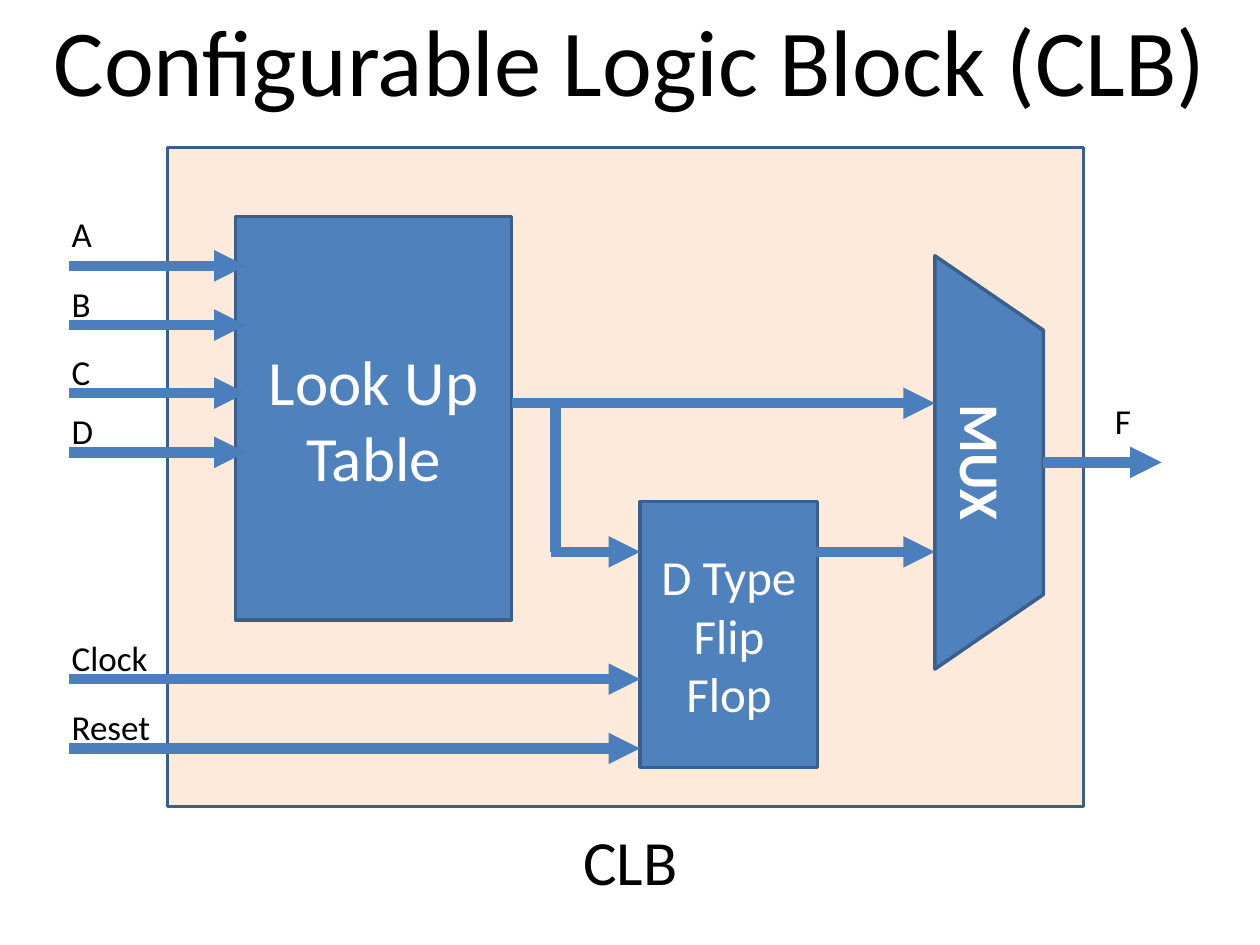
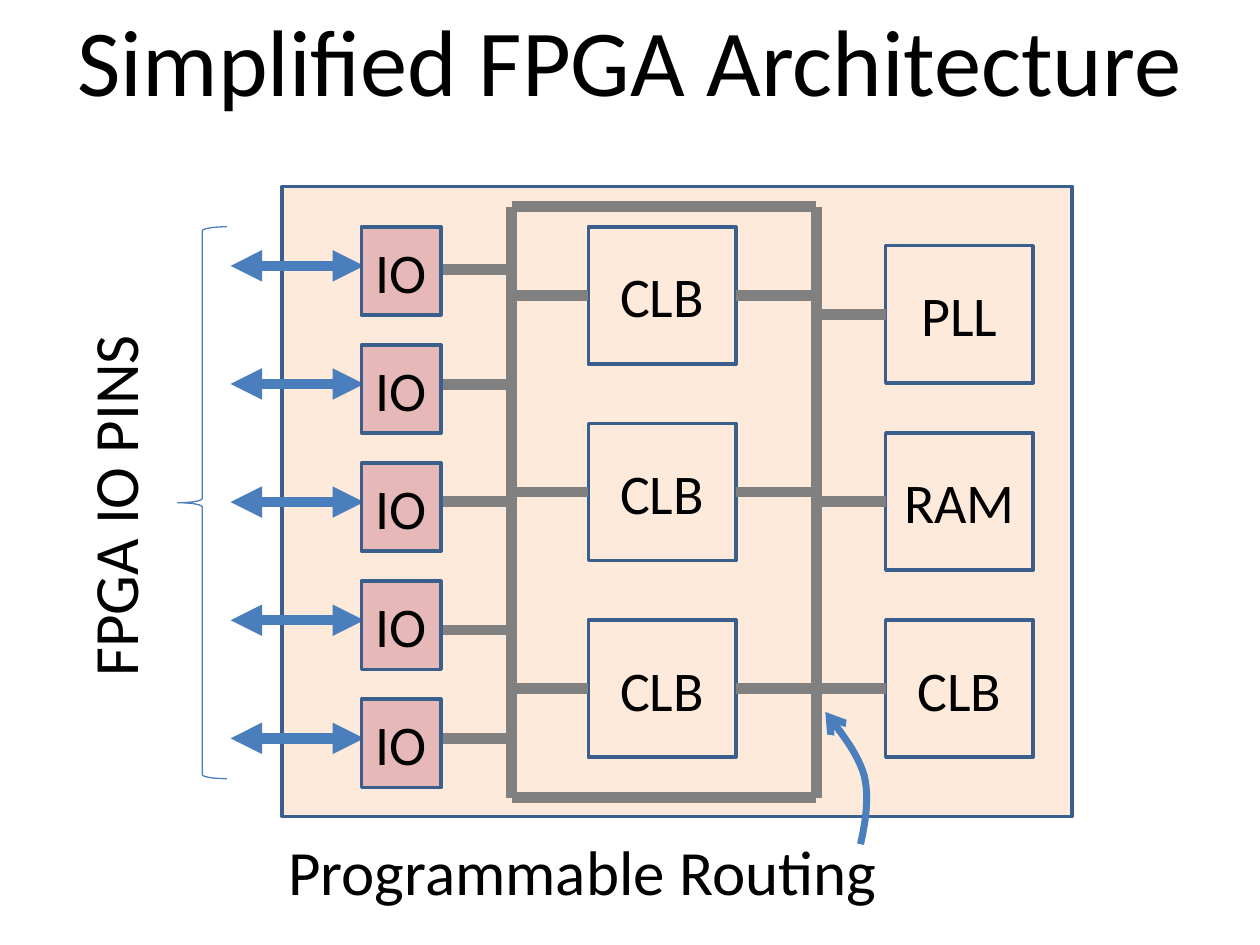
from lxml.etree import SubElement
from pptx import Presentation
from pptx.dml.color import RGBColor
from pptx.enum.shapes import MSO_CONNECTOR, MSO_SHAPE
from pptx.enum.text import MSO_ANCHOR, PP_ALIGN
from pptx.oxml.ns import qn
from pptx.util import Inches, Pt

COLORS = {
    "panel": "FDEADA",
    "block": "4F81BD",
    "pin": "E6B9B8",
    "border": "3A5F8C",
    "signal": "4B7EBC",
    "routing": "808080",
    "dark": "000000",
    "light": "FFFFFF",
}
FONT = "Calibri"
TOP, LEFT, BOTTOM, RIGHT = range(4)


def rgb(name):
    return RGBColor.from_string(COLORS[name])


def write_text(shape, text, size=32, color="dark", bold=False,
               align=PP_ALIGN.CENTER, anchor=MSO_ANCHOR.MIDDLE):
    frame = shape.text_frame
    frame.word_wrap = True
    frame.vertical_anchor = anchor
    frame.text = text
    for para in frame.paragraphs:
        para.alignment = align
        for span in para.runs:
            span.font.name = FONT
            span.font.size = Pt(size)
            span.font.bold = bold
            span.font.color.rgb = rgb(color)


def add_label(page, text, left, top, width, height=0.44, size=20, rotation=0, **style):
    box = page.shapes.add_textbox(Inches(left), Inches(top), Inches(width), Inches(height))
    box.rotation = rotation
    options = {"align": PP_ALIGN.LEFT, "anchor": MSO_ANCHOR.TOP, **style}
    write_text(box, text, size=size, **options)


def add_block(page, left, top, width, height, text="", kind=MSO_SHAPE.RECTANGLE,
              fill="panel", border="border", weight=2, **style):
    block = page.shapes.add_shape(
        kind, Inches(left), Inches(top), Inches(width), Inches(height))
    block.shadow.inherit = False
    if fill:
        block.fill.solid()
        block.fill.fore_color.rgb = rgb(fill)
    else:
        block.fill.background()
    block.line.color.rgb = rgb(border)
    block.line.width = Pt(weight)
    if text:
        write_text(block, text, **style)
    return block


def style_line(line, color, weight, head=None, tail=None):
    line.color.rgb = rgb(color)
    line.width = Pt(weight)
    for tag, arrow in (("a:headEnd", head), ("a:tailEnd", tail)):
        if arrow:
            SubElement(line._get_or_add_ln(), qn(tag), type=arrow)


def add_wire(page, start, end, color="signal", head=None, tail=None):
    wire = page.shapes.add_connector(
        MSO_CONNECTOR.STRAIGHT, *(Inches(value) for value in (*start, *end)))
    style_line(wire.line, color, 6, head, tail)
    SubElement(wire._element.spPr, qn("a:effectLst"))
    return wire


def add_arrow(page, left, right, y, **ends):
    add_wire(page, (left, y), (right, y), tail="triangle", **ends)


def add_routing(page, start, end):
    return add_wire(page, start, end, color="routing")


def curve_points(start, control_1, control_2, end, steps=12):
    for step in range(1, steps + 1):
        t = step / steps
        weights = ((1 - t) ** 3, 3 * t * (1 - t) ** 2, 3 * t * t * (1 - t), t ** 3)
        knots = (start, control_1, control_2, end)
        yield tuple(Inches(sum(w * knot[axis] for w, knot in zip(weights, knots)))
                    for axis in (0, 1))


def add_curved_arrow(page, start, *segments):
    builder = page.shapes.build_freeform(*(Inches(value) for value in start))
    for segment in segments:
        builder.add_line_segments(list(curve_points(start, *segment)), close=False)
        start = segment[-1]
    curve = builder.convert_to_shape()
    curve.shadow.inherit = False
    curve.fill.background()
    style_line(curve.line, "signal", 4, tail="arrow")


def add_page(deck, title):
    page = deck.slides.add_slide(deck.slide_layouts[6])
    add_label(page, title, 0, -0.16, 10, 1.25, size=54,
              align=PP_ALIGN.CENTER, anchor=MSO_ANCHOR.MIDDLE)
    return page


def build_logic_block(deck):
    page = add_page(deck, "Configurable Logic Block (CLB)")
    add_block(page, 1.33, 1.17, 7.27, 5.23)
    add_block(page, 1.87, 1.72, 2.19, 3.2, "Look Up Table",
              fill="block", size=36, color="light")
    add_block(page, 5.08, 3.98, 1.41, 2.11, "D Type\nFlip Flop",
              fill="block", size=28, color="light")
    mux = add_block(page, 6.21, 3.24, 3.28, 0.86, "MUX", kind=MSO_SHAPE.TRAPEZOID,
                    fill="block", color="light", bold=True)
    mux.adjustments[0] = 0.687
    mux.rotation = 90

    inputs = [
        ("A", 1.64, 2.11, 1.95),
        ("B", 2.19, 2.58, 1.95),
        ("C", 2.73, 3.12, 1.95),
        ("D", 3.2, 3.59, 1.95),
        ("Clock", 5, 5.39, 5.08),
        ("Reset", 5.55, 5.94, 5.08),
    ]
    for name, label_top, wire_y, wire_end in inputs:
        add_arrow(page, 0.55, wire_end, wire_y)
        add_label(page, name, 0.47, label_top, 1.72)

    add_arrow(page, 4.06, 7.42, 3.2)
    add_wire(page, (4.41, 3.2), (4.41, 4.38))
    add_arrow(page, 4.37, 5.08, 4.38)
    add_arrow(page, 6.48, 7.42, 4.38)
    add_arrow(page, 8.28, 9.22, 3.67)
    add_label(page, "F", 8.75, 3.12, 0.94)
    add_label(page, "CLB", 4.53, 6.48, 1.41, 0.71, size=36)


def build_architecture(deck):
    page = add_page(deck, "Simplified FPGA Architecture")
    add_block(page, 2.24, 1.48, 6.27, 5)
    add_label(page, "FPGA IO PINS", -0.62, 3.59, 3.05, 0.71, size=36, rotation=270)
    add_block(page, 1.41, 1.8, 0.39, 4.38, kind=MSO_SHAPE.LEFT_BRACE,
              fill=None, border="signal", weight=0.75)

    bus_left, bus_right, bus_top, bus_bottom = 4.06, 6.48, 1.64, 6.33
    for x in (bus_left, bus_right):
        add_routing(page, (x, bus_top), (x, bus_bottom))
    for y in (bus_top, bus_bottom):
        add_routing(page, (bus_left, y), (bus_right, y))

    pin_pitch = 0.9375
    for index, stub_y in enumerate((2.14, 3.05, 3.98, 5, 5.86)):
        offset = index * pin_pitch
        add_arrow(page, 1.83, 2.89, 2.11 + offset, head="triangle")
        add_routing(page, (bus_left, stub_y), (3.36, stub_y))
        add_block(page, 2.87, 1.8 + offset, 0.63, 0.7, "IO", fill="pin")

    width, height = 1.17, 1.09
    for index in range(3):
        top = 1.8 + index * 1.56
        middle = top + height / 2
        block = add_block(page, 4.67, top, width, height, "CLB")
        add_routing(page, (bus_left, middle), (4.67, middle)).end_connect(block, LEFT)
        add_routing(page, (5.84, middle), (bus_right, middle)).begin_connect(block, RIGHT)

    for index, name in enumerate(("PLL", "RAM", "CLB")):
        top = 1.95 + index * 1.485
        middle = top + height / 2
        block = add_block(page, 7.03, top, width, height, name)
        add_routing(page, (bus_right, middle), (7.03, middle)).end_connect(block, LEFT)

    add_label(page, "Programmable Routing", 2.19, 6.56, 5.78, 0.71, size=36)
    add_curved_arrow(
        page, (6.83, 6.7),
        ((6.87, 6.52), (6.9, 6.33), (6.86, 6.16)),
        ((6.81, 5.98), (6.68, 5.82), (6.55, 5.65)))


def main():
    deck = Presentation()
    deck.slide_width = Inches(10)
    deck.slide_height = Inches(7.5)
    build_logic_block(deck)
    build_architecture(deck)
    deck.save("out.pptx")


if __name__ == "__main__":
    main()
